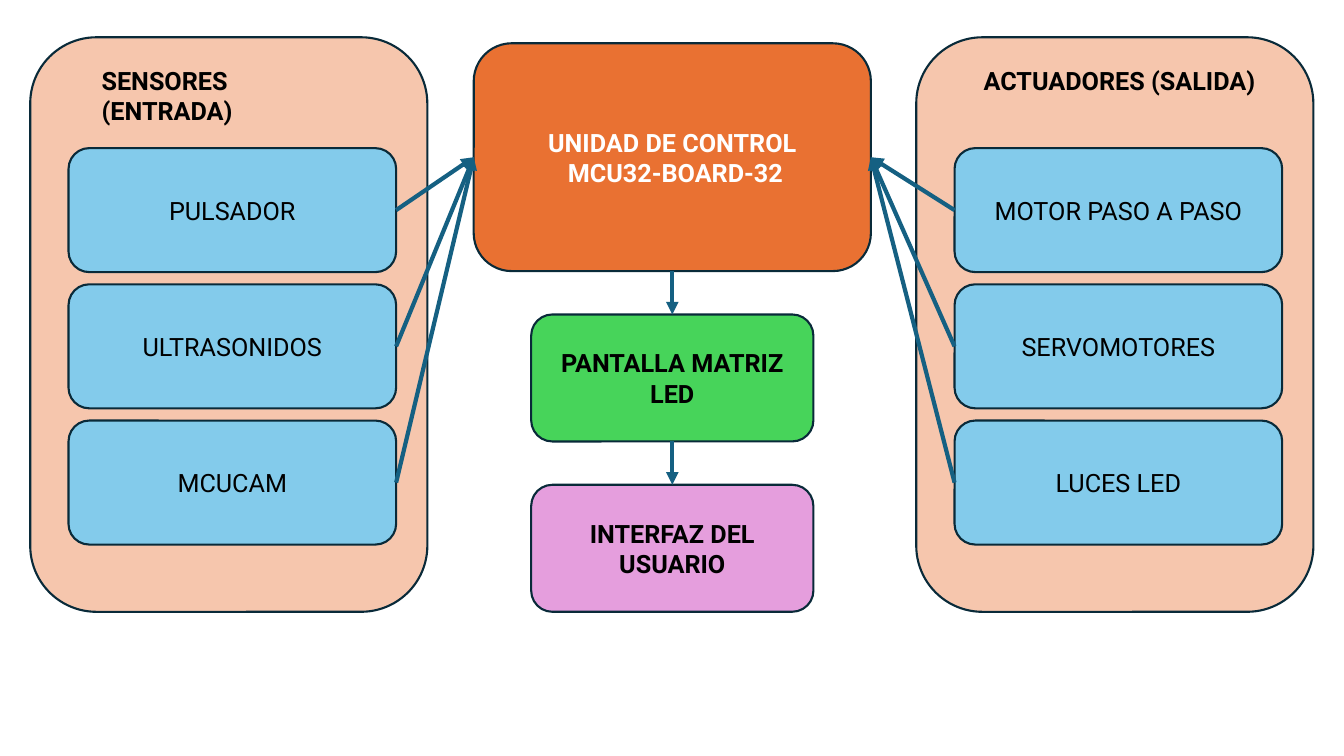
from lxml import etree
from pptx import Presentation
from pptx.dml.color import RGBColor
from pptx.enum.shapes import MSO_CONNECTOR, MSO_SHAPE
from pptx.enum.text import MSO_ANCHOR, MSO_AUTO_SIZE, PP_ALIGN
from pptx.oxml.ns import qn
from pptx.util import Pt

# Colours
PANEL, DEVICE, CONTROL = "F6C6AD", "83CBEB", "E97132"
DISPLAY, INTERFACE = "47D45A", "E59EDD"
OUTLINE, ARROW = "092A39", "156082"
BLACK, WHITE = "000000", "FFFFFF"

# Connection sites of a rounded rectangle
TOP, LEFT, BOTTOM, RIGHT = range(4)

# Layout in points
PANEL_TOP, PANEL_WIDTH, PANEL_HEIGHT = 26.64, 283.68, 410.4
DEVICE_INSET, DEVICE_TOP, DEVICE_PITCH = 27.36, 105.84, 97.3
DEVICE_WIDTH, DEVICE_HEIGHT = 234, 88.56
CENTER_X = 480.24


def color(hex_value):
    return RGBColor.from_string(hex_value)


def write(text_frame, lines, font_color, bold, alignment):
    text_frame.word_wrap = True
    font_format = {"name": "Roboto", "size": Pt(18), "bold": bold}
    for index, line in enumerate(lines):
        paragraph = text_frame.paragraphs[0] if index == 0 else text_frame.add_paragraph()
        paragraph.alignment = alignment
        run = paragraph.add_run()
        run.text = line
        for name, value in font_format.items():
            setattr(run.font, name, value)
        run.font.color.rgb = color(font_color)


def add_box(slide, left, top, width, height, fill, lines=(), font_color=BLACK, bold=False):
    shape = slide.shapes.add_shape(
        MSO_SHAPE.ROUNDED_RECTANGLE, Pt(left), Pt(top), Pt(width), Pt(height))
    shape.shadow.inherit = False
    shape.fill.solid()
    shape.fill.fore_color.rgb = color(fill)
    shape.line.color.rgb = color(OUTLINE)
    shape.line.width = Pt(1.5)
    shape.text_frame.vertical_anchor = MSO_ANCHOR.MIDDLE
    write(shape.text_frame, lines, font_color, bold, PP_ALIGN.CENTER)
    return shape


def add_centered_box(slide, top, width, height, fill, lines, font_color=BLACK):
    return add_box(slide, CENTER_X - width / 2, top, width, height, fill, lines, font_color, True)


def add_title(slide, left, width, text):
    text_box = slide.shapes.add_textbox(Pt(left), Pt(43.2), Pt(width), Pt(28.8))
    write(text_box.text_frame, [text], BLACK, True, PP_ALIGN.LEFT)
    text_box.text_frame.auto_size = MSO_AUTO_SIZE.SHAPE_TO_FIT_TEXT


def add_panel(slide, left, device_names):
    """Draw a panel with its column of devices and return the devices."""
    add_box(slide, left, PANEL_TOP, PANEL_WIDTH, PANEL_HEIGHT, PANEL)
    return [
        add_box(slide, left + DEVICE_INSET, DEVICE_TOP + row * DEVICE_PITCH,
                DEVICE_WIDTH, DEVICE_HEIGHT, DEVICE, [name])
        for row, name in enumerate(device_names)
    ]


def add_arrow(slide, source, source_site, target, target_site):
    connector = slide.shapes.add_connector(MSO_CONNECTOR.STRAIGHT, 0, 0, 0, 0)
    connector.begin_connect(source, source_site)
    connector.end_connect(target, target_site)
    connector.line.color.rgb = color(ARROW)
    connector.line.width = Pt(3)
    etree.SubElement(connector.line._get_or_add_ln(), qn("a:tailEnd"), type="triangle")
    etree.SubElement(connector._element.spPr, qn("a:effectLst"))
    return connector


def main():
    presentation = Presentation()
    presentation.slide_width, presentation.slide_height = Pt(960), Pt(540)
    slide = presentation.slides.add_slide(presentation.slide_layouts[6])

    # Side panels
    sensors = add_panel(slide, 21.6, ["PULSADOR", "ULTRASONIDOS", "MCUCAM"])
    actuators = add_panel(slide, 654.48, ["MOTOR PASO A PASO", "SERVOMOTORES", "LUCES LED"])

    # Central column
    control = add_centered_box(slide, 30.96, 283.68, 162.72, CONTROL,
                               ["UNIDAD DE CONTROL", " MCU32-BOARD-32"], WHITE)
    display = add_centered_box(slide, 224.64, 201.6, 90.72, DISPLAY, ["PANTALLA MATRIZ LED"])
    interface = add_centered_box(slide, 346.32, 201.6, 90.72, INTERFACE, ["INTERFAZ DEL USUARIO"])

    # Arrows
    for sensor in sensors:
        add_arrow(slide, sensor, RIGHT, control, LEFT)
    for actuator in actuators:
        add_arrow(slide, actuator, LEFT, control, RIGHT)
    add_arrow(slide, control, BOTTOM, display, TOP)
    add_arrow(slide, display, BOTTOM, interface, TOP)

    # Panel titles
    add_title(slide, 65.52, 201.6, "SENSORES (ENTRADA)")
    add_title(slide, 695.52, 234, "ACTUADORES (SALIDA)")

    presentation.save("out.pptx")


if __name__ == "__main__":
    main()
